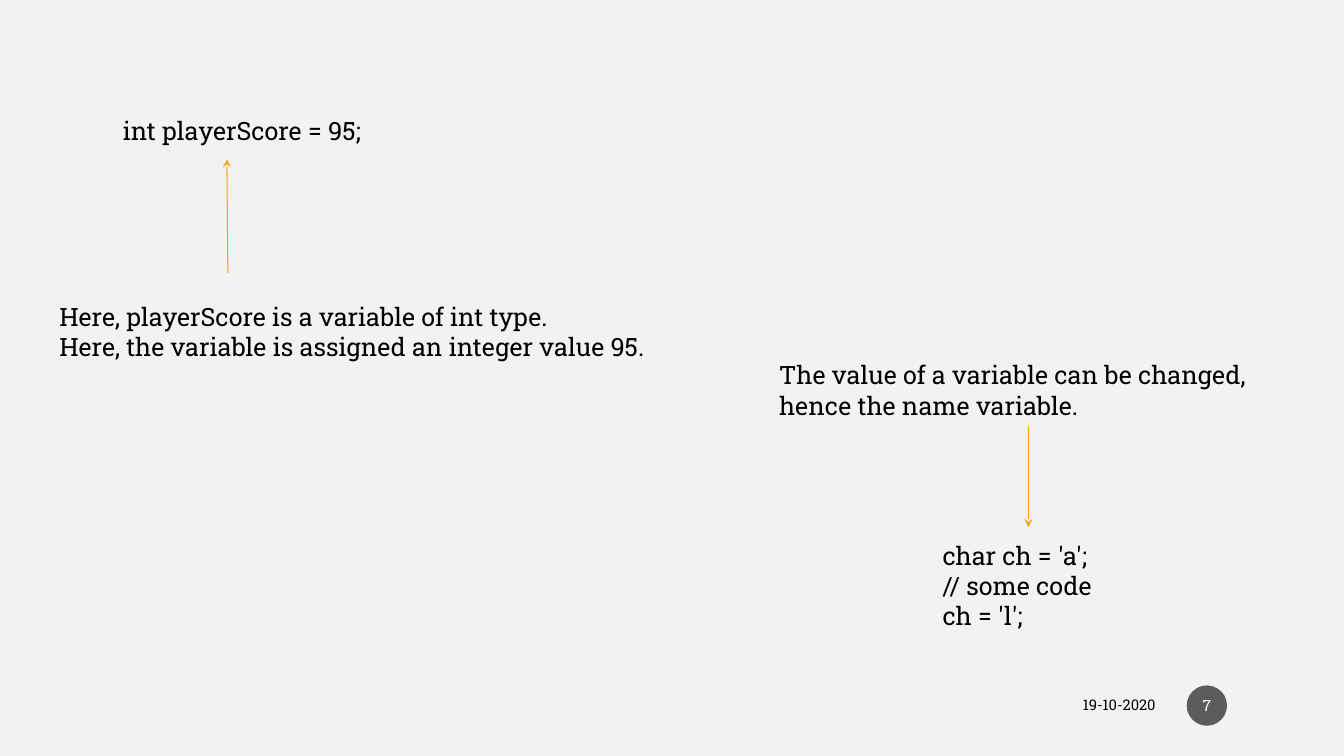
from lxml.etree import SubElement
from pptx import Presentation
from pptx.dml.color import RGBColor
from pptx.enum.shapes import MSO_CONNECTOR, MSO_SHAPE
from pptx.enum.text import MSO_ANCHOR, PP_ALIGN
from pptx.oxml.ns import qn
from pptx.util import Inches, Pt

BACKGROUND = RGBColor(0xF2, 0xF2, 0xF2)
BLACK = RGBColor(0, 0, 0)
WHITE = RGBColor(0xFF, 0xFF, 0xFF)
ORANGE = RGBColor(0xF6, 0xA2, 0x1D)
BADGE = RGBColor(0x1D, 0x1D, 0x1D)
FONT = "Roboto Slab"


def write(tf, lines, size=18, color=BLACK, align=PP_ALIGN.LEFT, anchor=MSO_ANCHOR.TOP):
    """Fill a text frame with one paragraph per line."""
    tf.word_wrap = True
    tf.vertical_anchor = anchor
    tf.text = "\n".join(lines)
    for p in tf.paragraphs:
        p.alignment = align
        p.font.name = FONT
        p.font.size = Pt(size)
        p.font.color.rgb = color


def add_text(slide, left, top, width, height, lines, **style):
    """Add a text box holding the given lines."""
    box = slide.shapes.add_textbox(Inches(left), Inches(top), Inches(width), Inches(height))
    write(box.text_frame, lines, **style)


def add_arrow(slide, x1, y1, x2, y2):
    """Add a thin arrow that points to its second end."""
    line = slide.shapes.add_connector(
        MSO_CONNECTOR.STRAIGHT, Inches(x1), Inches(y1), Inches(x2), Inches(y2))
    line.line.color.rgb = ORANGE
    line.line.width = Pt(0.75)
    SubElement(line.line._get_or_add_ln(), qn("a:tailEnd"), type="stealth")
    SubElement(line._element.spPr, qn("a:effectLst"))


def add_declaration(slide, left, top):
    """Place the int declaration above its explanation, joined by an arrow."""
    add_text(slide, left + 0.63, top, 2.76, 0.4, ["int playerScore = 95;"])
    add_arrow(slide, left + 1.77, top + 1.62, left + 1.76, top + 0.49)
    add_text(slide, left, top + 1.85, 6.37, 0.71, [
        "Here, playerScore is a variable of int type.",
        "Here, the variable is assigned an integer value 95."])


def add_reassignment(slide, left, top):
    """Place the note on changing values above its code, joined by an arrow."""
    add_text(slide, left, top, 5.15, 0.71, [
        "The value of a variable can be changed,", "hence the name variable."])
    add_arrow(slide, left + 2.57, top + 0.71, left + 2.57, top + 1.71)
    add_text(slide, left + 1.62, top + 1.79, 1.95, 1.01, [
        "char ch = 'a';", "// some code", "ch = 'l';"])


def add_footer(slide, left, top):
    """Place the date and the round page number badge."""
    add_text(slide, left, top + 0.02, 3.01, 0.35, ["19-10-2020"], size=10.5,
             align=PP_ALIGN.RIGHT, anchor=MSO_ANCHOR.MIDDLE)
    badge = slide.shapes.add_shape(
        MSO_SHAPE.OVAL, Inches(left + 3.22), Inches(top), Inches(0.4), Inches(0.4))
    badge.shadow.inherit = False
    badge.fill.solid()
    badge.fill.fore_color.rgb = BADGE
    color = badge._element.spPr.find(qn("a:solidFill")).find(qn("a:srgbClr"))
    SubElement(color, qn("a:alpha"), val="70000")
    badge.line.fill.background()
    tf = badge.text_frame
    tf.margin_left = tf.margin_right = Inches(0.02)
    write(tf, ["7"], size=11, color=WHITE, align=PP_ALIGN.CENTER, anchor=MSO_ANCHOR.MIDDLE)


def main():
    """Build the slide and save it."""
    prs = Presentation()
    prs.slide_width, prs.slide_height = Inches(13.33), Inches(7.5)
    slide = prs.slides.add_slide(prs.slide_layouts[6])
    slide.background.fill.solid()
    slide.background.fill.fore_color.rgb = BACKGROUND
    add_footer(slide, 8.55, 6.8)
    add_declaration(slide, 0.49, 1.09)
    add_reassignment(slide, 7.63, 3.52)
    prs.save("out.pptx")


if __name__ == "__main__":
    main()
